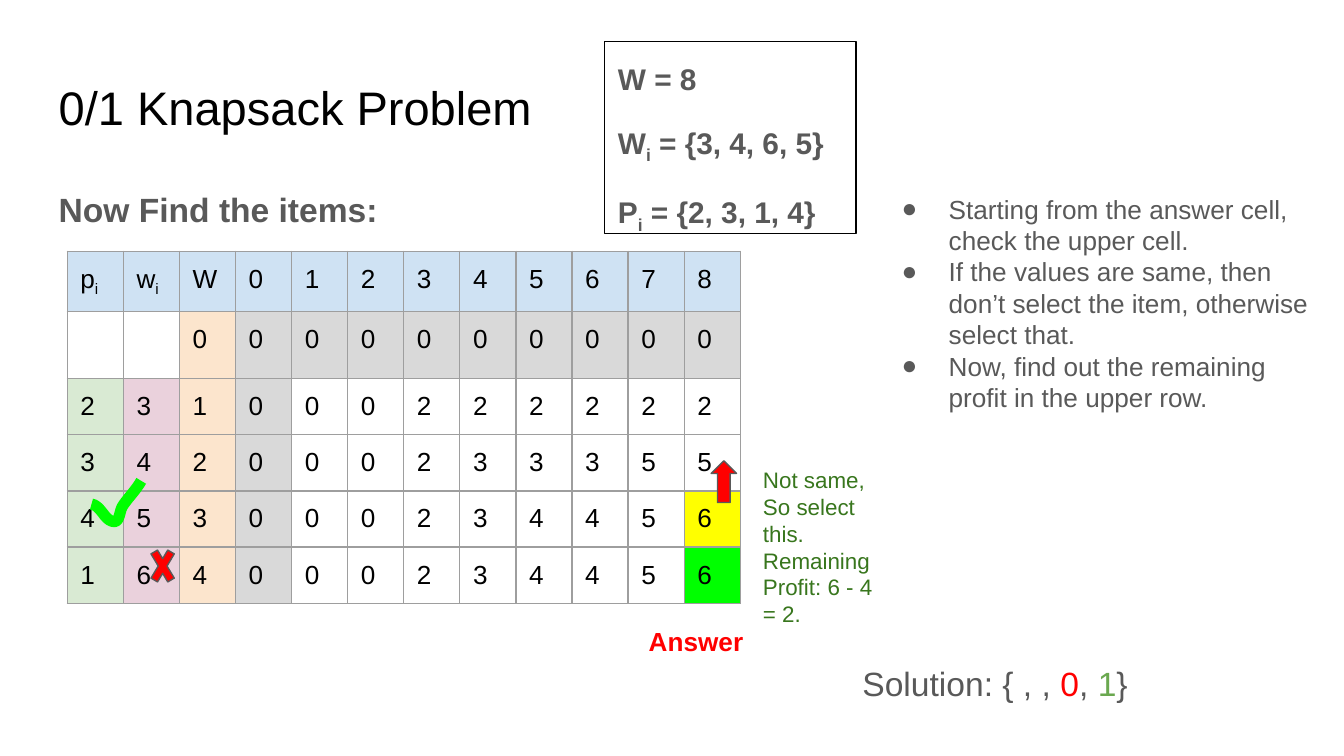
"""Build the slide that traces the chosen items of a 0/1 knapsack table."""
from lxml.etree import SubElement
from pptx import Presentation
from pptx.dml.color import RGBColor
from pptx.enum.shapes import MSO_SHAPE
from pptx.enum.text import MSO_ANCHOR, MSO_AUTO_SIZE, PP_ALIGN
from pptx.oxml import parse_xml
from pptx.oxml.ns import nsdecls, qn
from pptx.util import Cm, Pt

GRAY, RED, LIME = "595959", "FF0000", "00FF00"
SUBSCRIPT = ("i", None, -25000)
HEADER = [["p", SUBSCRIPT], ["w", SUBSCRIPT], "W", *"012345678"]
ROWS = [
    ["", "", *"0000000000"],
    [*"231000222222"],
    [*"342000233355"],
    [*"453000234456"],
    [*"164000234456"],
]
ROW_HEIGHTS = [1.13, 1.23] + [1.06] * 4
CHECK_CURVES = [
    [(1.73, 9.53), (1.91, 9.55), (1.98, 9.86), (2.16, 9.86)],
    [(2.16, 9.86), (2.26, 9.86), (2.26, 9.68), (2.31, 9.58)],
    [(2.31, 9.58), (2.41, 9.42), (2.57, 9.27), (2.67, 9.09)],
]


def rgb(value):
    return RGBColor.from_string(value)


def cell_color(row, column):
    if row == 0:
        return "CFE2F3"
    if column == 11 and row >= 4:
        return "FFFF00" if row == 4 else LIME
    if column == 2:
        return "FCE5CD"
    if column == 3 or (row == 1 and column > 3):
        return "D9D9D9"
    if column < 2 and row > 1:
        return ["D9EAD3", "EAD1DC"][column]
    return None


def curve_points(curve, steps=10):
    for step in range(steps + 1):
        t = step / steps
        weights = [(1 - t) ** 3, 3 * t * (1 - t) ** 2, 3 * t**2 * (1 - t), t**3]
        yield tuple(
            Cm(sum(weight * point[axis] for weight, point in zip(weights, curve)))
            for axis in (0, 1)
        )


class SlideBuilder:
    def __init__(self, slide, font="Arial"):
        self.slide = slide
        self.font = font

    def fill_text(self, frame, lines, size, color, bold=False, spacing=None, gap=0):
        for index, line in enumerate(lines):
            para = frame.paragraphs[0] if index == 0 else frame.add_paragraph()
            para.alignment = PP_ALIGN.LEFT
            para.line_spacing = spacing
            para.space_before = Pt(gap if index else 0)
            para.space_after = Pt(0)
            for part in [line] if isinstance(line, str) else line:
                text, own_color, baseline = (
                    (part, None, 0) if isinstance(part, str) else part
                )
                span = para.add_run()
                span.text = text
                span.font.name = self.font
                span.font.size = Pt(size)
                span.font.bold = bold
                span.font.color.rgb = rgb(own_color or color)
                if baseline:
                    span.font._element.set("baseline", str(baseline))

    def frame(self, shape):
        frame = shape.text_frame
        frame.word_wrap = True
        frame.auto_size = MSO_AUTO_SIZE.NONE
        frame.vertical_anchor = MSO_ANCHOR.TOP
        frame.margin_left = frame.margin_right = Cm(0.25)
        frame.margin_top = frame.margin_bottom = Cm(0.25)
        return frame

    def placeholder(self, index, area, lines, size, color, **style):
        holder = self.slide.placeholders[index]
        holder.left, holder.top, holder.width, holder.height = map(Cm, area)
        self.fill_text(self.frame(holder), lines, size, color, **style)
        return holder

    def text(self, area, lines, size, color, **style):
        box = self.slide.shapes.add_textbox(*map(Cm, area))
        self.fill_text(self.frame(box), lines, size, color, **style)
        return box

    def bullets(self, area, lines, size, color):
        box = self.text(area, lines, size, color)
        for para in box.text_frame.paragraphs:
            properties = para._p.get_or_add_pPr()
            properties.set("marL", str(Cm(1.27)))
            properties.set("indent", str(-Cm(0.89)))
            bullet_color = SubElement(properties, qn("a:buClr"))
            SubElement(bullet_color, qn("a:srgbClr"), val=color)
            SubElement(properties, qn("a:buFont"), typeface=self.font)
            SubElement(properties, qn("a:buChar"), char="●")

    def outline(self, shape, color, width):
        shape.shadow.inherit = False
        shape.line.color.rgb = rgb(color)
        shape.line.width = Pt(width)

    def shape(self, kind, area, line, fill=None, adjustments=()):
        shape = self.slide.shapes.add_shape(kind, *map(Cm, area))
        for index, value in enumerate(adjustments):
            shape.adjustments[index] = value
        if fill:
            shape.fill.solid()
            shape.fill.fore_color.rgb = rgb(fill)
        else:
            shape.fill.background()
        self.outline(shape, line, 0.75)
        return shape

    def curve(self, curves, color, width):
        points = [point for curve in curves for point in curve_points(curve)]
        builder = self.slide.shapes.build_freeform(*points[0])
        builder.add_line_segments(points[1:], close=False)
        shape = builder.convert_to_shape()
        shape.fill.background()
        self.outline(shape, color, width)

    def table(self, left, top, column_width, heights, rows):
        area = (left, top, column_width * len(rows[0]), sum(heights))
        table = self.slide.shapes.add_table(
            len(rows), len(rows[0]), *map(Cm, area)
        ).table
        table.first_row = table.horz_banding = False
        for column in table.columns:
            column.width = Cm(column_width)
        for row, height in zip(table.rows, heights):
            row.height = Cm(height)
        for row, values in enumerate(rows):
            for column, value in enumerate(values):
                self.cell(table.cell(row, column), value, cell_color(row, column))

    def cell(self, cell, value, fill):
        cell.margin_left = cell.margin_right = Cm(0.25)
        cell.margin_top = cell.margin_bottom = Cm(0.25)
        if value:
            self.fill_text(cell.text_frame, [value], 14, "000000")
        if fill:
            cell.fill.solid()
            cell.fill.fore_color.rgb = rgb(fill)
        else:
            cell.fill.background()
        properties = cell._tc.get_or_add_tcPr()
        for position, side in enumerate("LRTB"):
            border = parse_xml(
                f'<a:ln{side} {nsdecls("a")} w="{Pt(0.75)}"><a:solidFill>'
                f'<a:srgbClr val="9E9E9E"/></a:solidFill></a:ln{side}>'
            )
            properties.insert(position, border)


def main():
    deck = Presentation()
    deck.slide_width, deck.slide_height = Cm(25.4), Cm(14.29)
    page = SlideBuilder(deck.slides.add_slide(deck.slide_layouts[1]))

    body = page.placeholder(1, (0.86, 3.2, 23.67, 9.5), ["Now Find the items:"],
                            18, GRAY, bold=True, spacing=1.15)
    properties = body.text_frame.paragraphs[0]._p.get_or_add_pPr()
    properties.set("marL", "0")
    properties.set("indent", "0")
    SubElement(properties, qn("a:buNone"))
    page.placeholder(0, (0.86, 1.24, 23.67, 1.6), ["0/1 Knapsack Problem"],
                     25.2, "000000")

    page.table(1.27, 4.75, 1.06, ROW_HEIGHTS, [HEADER, *ROWS])
    page.text((12.01, 11.58, 2.92, 0.79), ["Answer"], 14, RED, bold=True)
    page.bullets((16.41, 3.4, 8.59, 8.33), [
        "Starting from the answer cell, check the upper cell.",
        "If the values are same, then don’t select the item, otherwise select that.",
        "Now, find out the remaining profit in the upper row.",
    ], 14, GRAY)
    page.shape(MSO_SHAPE.UP_ARROW, (13.44, 8.71, 0.48, 0.79), GRAY, RED, (0.5, 0.5))
    page.text((14.17, 8.56, 2.92, 3.45),
              ["Not same, So select this.", "Remaining Profit: 6 - 4 = 2."],
              12, "38761D")
    page.shape(MSO_SHAPE.MATH_MULTIPLY, (2.77, 10.19, 0.61, 1.02), GRAY, RED, (0.235,))
    page.curve(CHECK_CURVES, LIME, 6)
    page.text((16.05, 12.29, 8.36, 1.47),
              [["Solution: { , , ", ("0", RED, 0), ", ", ("1", "6AA84F", 0), "}"]],
              18, GRAY)

    givens = page.shape(MSO_SHAPE.RECTANGLE, (11.43, 0.79, 4.75, 3.63), "000000")
    page.fill_text(page.frame(givens), [
        "W = 8",
        ["W", SUBSCRIPT, " = {3, 4, 6, 5}"],
        ["P", SUBSCRIPT, " = {2, 3, 1, 4}"],
    ], 16, GRAY, bold=True, spacing=1.15, gap=12)
    deck.save("out.pptx")


if __name__ == "__main__":
    main()
